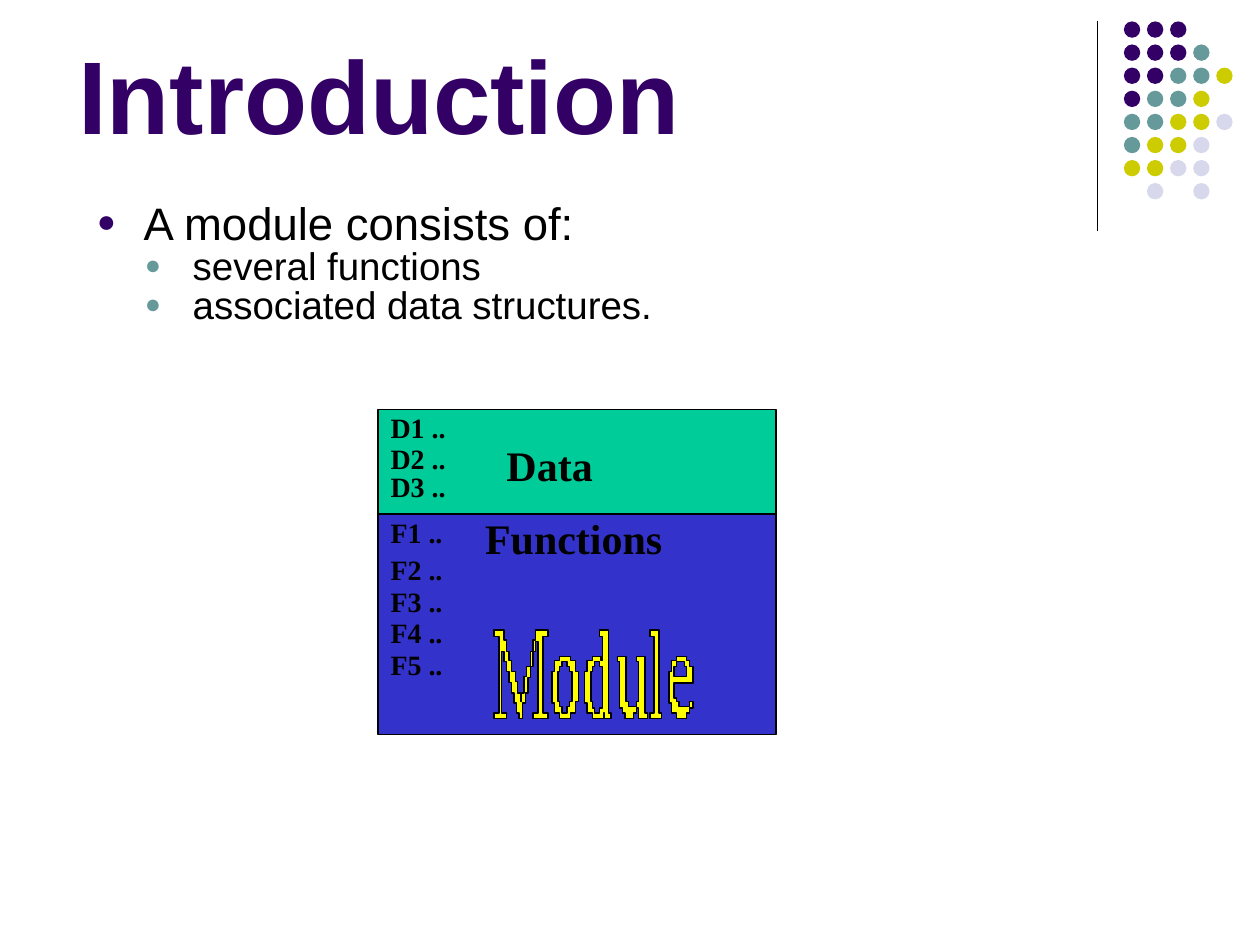
"""Build a slide that introduces a module as data plus functions."""
from lxml import etree
from pptx import Presentation
from pptx.dml.color import RGBColor
from pptx.enum import shapes, text
from pptx.oxml import ns
from pptx.util import Inches, Pt

BLACK = RGBColor(0x00, 0x00, 0x00)
PURPLE = RGBColor(0x33, 0x00, 0x66)
TEAL = RGBColor(0x66, 0x99, 0x99)
OLIVE = RGBColor(0xCC, 0xCC, 0x00)
LAVENDER = RGBColor(0xD8, 0xD8, 0xEC)
GREEN = RGBColor(0x00, 0xCC, 0x99)
BLUE = RGBColor(0x33, 0x33, 0xCC)
YELLOW = RGBColor(0xFF, 0xFF, 0x00)
SERIF, SANS = "Times New Roman", "Arial"

DOT_COLORS = {"P": PURPLE, "T": TEAL, "O": OLIVE, "L": LAVENDER}
DOT_ROWS = ["PPP", "PPPT", "PPTTO", "PTTO", "TTOOL", "TOOL", "OOLL", " L L"]
DOT_PITCH = 0.55 / 3

FIELDS = [("D1 ..", 3.25), ("D2 ..", 3.5), ("D3 ..", 3.72), ("F1 ..", 4.08),
          ("F2 ..", 4.38), ("F3 ..", 4.63), ("F4 ..", 4.88), ("F5 ..", 5.13)]
BULLETS = [("A module consists of:", 0, 26, PURPLE, 0.37, -0.37, 0),
           ("several functions", 1, 22, TEAL, 0.76, -0.38, 1.2),
           ("associated data structures.", 1, 22, TEAL, 0.76, -0.38, 1.2)]

# Each contour: start x, start y, then alternating new x and new y, in 1/100 inch.
LETTERS = {
    "M": ["392 500 400 508 402 517 404 524 406 533 409 541 411 550 413 557 414 550 "
          "416 537 418 529 421 517 423 508 425 500 435 505 431 566 435 570 423 566 "
          "427 509 425 517 423 529 421 538 419 550 417 558 415 570 412 566 410 558 "
          "408 550 406 542 404 533 402 525 400 517 398 566 402 570 392 566 396 505 392"],
    "o": ["446 525 450 529 452 533 454 557 452 561 450 566 446 561 444 557 443 533 "
          "444 529 446",
          "444 521 453 524 457 533 459 557 457 566 453 570 444 566 440 558 438 533 "
          "440 524 444"],
    "d": ["472 525 476 529 478 562 476 566 472 562 470 557 469 533 470 529 472",
          "476 500 483 566 485 570 480 566 479 570 470 566 466 558 464 533 466 524 "
          "470 521 477 524 478 505 476"],
    "u": ["490 521 497 557 499 561 505 557 507 525 505 521 512 566 514 570 507 562 "
          "505 566 503 570 496 566 494 562 492 525 490"],
    "l": ["516 500 523 566 525 570 516 566 519 505 516"],
    "e": ["537 525 543 529 545 537 535 529 537",
          "537 521 545 524 547 529 550 542 535 554 537 557 539 561 547 557 550 562 "
          "547 566 545 570 537 566 533 558 531 533 533 524 537"],
}


def paint(shape, fill, outlined=True):
    """Give a shape its fill and either a thin black outline or none."""
    shape.shadow.inherit = False
    shape.fill.solid()
    shape.fill.fore_color.rgb = fill
    if outlined:
        shape.line.color.rgb = BLACK
        shape.line.width = Pt(0.75)
    else:
        shape.line.fill.background()


def add_divider(slide):
    """Draw the vertical line beside the dots."""
    line = slide.shapes.add_connector(shapes.MSO_CONNECTOR.STRAIGHT, Inches(8.71),
                                      Inches(0.17), Inches(8.71), Inches(1.83))
    line.line.color.rgb = BLACK
    line.line.width = Pt(0.75)
    etree.SubElement(line._element.spPr, ns.qn("a:effectLst"))


def add_dots(slide):
    """Draw the grid of coloured dots."""
    group = slide.shapes.add_group_shape()
    for row, codes in enumerate(DOT_ROWS):
        for column, code in enumerate(codes):
            if code in DOT_COLORS:
                dot = group.shapes.add_shape(
                    shapes.MSO_SHAPE.OVAL, Inches(8.92 + column * DOT_PITCH),
                    Inches(0.17 + row * DOT_PITCH), Inches(0.13), Inches(0.13))
                paint(dot, DOT_COLORS[code], outlined=False)


def add_panel(slide, top, height, fill):
    """Draw one compartment of the module box."""
    panel = slide.shapes.add_shape(shapes.MSO_SHAPE.ROUNDED_RECTANGLE, Inches(3),
                                   Inches(top), Inches(3.16), Inches(height))
    panel.adjustments[0] = 0
    paint(panel, fill)


def contour_points(contour):
    """Turn alternating coordinates into the corners of a stepped outline."""
    x, y, *steps = map(int, contour.split())
    points = [(x, y)]
    for index, value in enumerate(steps):
        x, y = (x, value) if index % 2 else (value, y)
        points.append((x, y))
    return points


def add_module_lettering(slide):
    """Draw the stepped outline letters of the word Module."""
    group = slide.shapes.add_group_shape()
    for contours in LETTERS.values():
        first, *others = map(contour_points, contours)
        builder = group.shapes.build_freeform(*first[0], scale=Inches(0.01))
        builder.add_line_segments(first[1:])
        for points in others:
            builder.move_to(*points[0])
            builder.add_line_segments(points[1:])
        paint(builder.convert_to_shape(), YELLOW)


def add_text_frame(slide, left, top, width, height):
    """Add a wrapping text box with narrow side insets and return its frame."""
    frame = slide.shapes.add_textbox(Inches(left), Inches(top), Inches(width),
                                     Inches(height)).text_frame
    frame.word_wrap = True
    frame.margin_left = frame.margin_right = Inches(0.02)
    frame.margin_top = frame.margin_bottom = Inches(0.05)
    return frame


def set_font(paragraph, name, size, color=BLACK, bold=False):
    """Set the font of a whole paragraph."""
    font = paragraph.font
    font.name, font.size, font.bold = name, Pt(size), bold
    font.color.rgb = color


def add_title(slide):
    """Add the slide title."""
    frame = add_text_frame(slide, 0.6, 0.13, 7.53, 1.22)
    frame.vertical_anchor = text.MSO_ANCHOR.MIDDLE
    frame.text = "Introduction"
    set_font(frame.paragraphs[0], SANS, 59, PURPLE, bold=True)


def add_label(slide, words, left, top, width, height, size):
    """Add a bold serif label of the module box."""
    frame = add_text_frame(slide, left, top, width, height)
    frame.text = words
    frame.paragraphs[0].line_spacing = 0.85
    set_font(frame.paragraphs[0], SERIF, size, bold=True)


def set_bullet(paragraph, color, margin, indent):
    """Give a paragraph a coloured round bullet and a hanging indent."""
    properties = paragraph._p.get_or_add_pPr()
    properties.set("marL", str(Inches(margin)))
    properties.set("indent", str(Inches(indent)))
    bullet_color = etree.SubElement(properties, ns.qn("a:buClr"))
    etree.SubElement(bullet_color, ns.qn("a:srgbClr"), val=str(color))
    etree.SubElement(properties, ns.qn("a:buSzPct"), val="70000")
    etree.SubElement(properties, ns.qn("a:buFont"), typeface=SANS)
    etree.SubElement(properties, ns.qn("a:buChar"), char="●")


def add_bullets(slide):
    """Add the bulleted body text."""
    frame = add_text_frame(slide, 0.75, 1.58, 8.5, 4.5)
    for index, (words, level, size, color, margin, indent, before) in enumerate(BULLETS):
        paragraph = frame.add_paragraph() if index else frame.paragraphs[0]
        paragraph.text = words
        paragraph.level = level
        set_bullet(paragraph, color, margin, indent)
        paragraph.line_spacing = 0.8
        if before:
            paragraph.space_before = Pt(before)
        set_font(paragraph, SANS, size)


def main():
    """Build and save the presentation."""
    presentation = Presentation()
    presentation.slide_width, presentation.slide_height = Inches(10), Inches(7.5)
    slide = presentation.slides.add_slide(presentation.slide_layouts[6])
    add_divider(slide)
    add_dots(slide)
    add_title(slide)
    add_bullets(slide)
    add_panel(slide, 3.25, 0.83, GREEN)
    add_panel(slide, 4.08, 1.75, BLUE)
    add_module_lettering(slide)
    add_label(slide, "Data", 4, 3.5, 2, 0.5, 24)
    add_label(slide, "Functions", 3.83, 4.08, 2, 0.5, 24)
    for words, top in FIELDS:
        add_label(slide, words, 3.08, top, 0.66, 0.37, 16)
    presentation.save("out.pptx")


if __name__ == "__main__":
    main()
